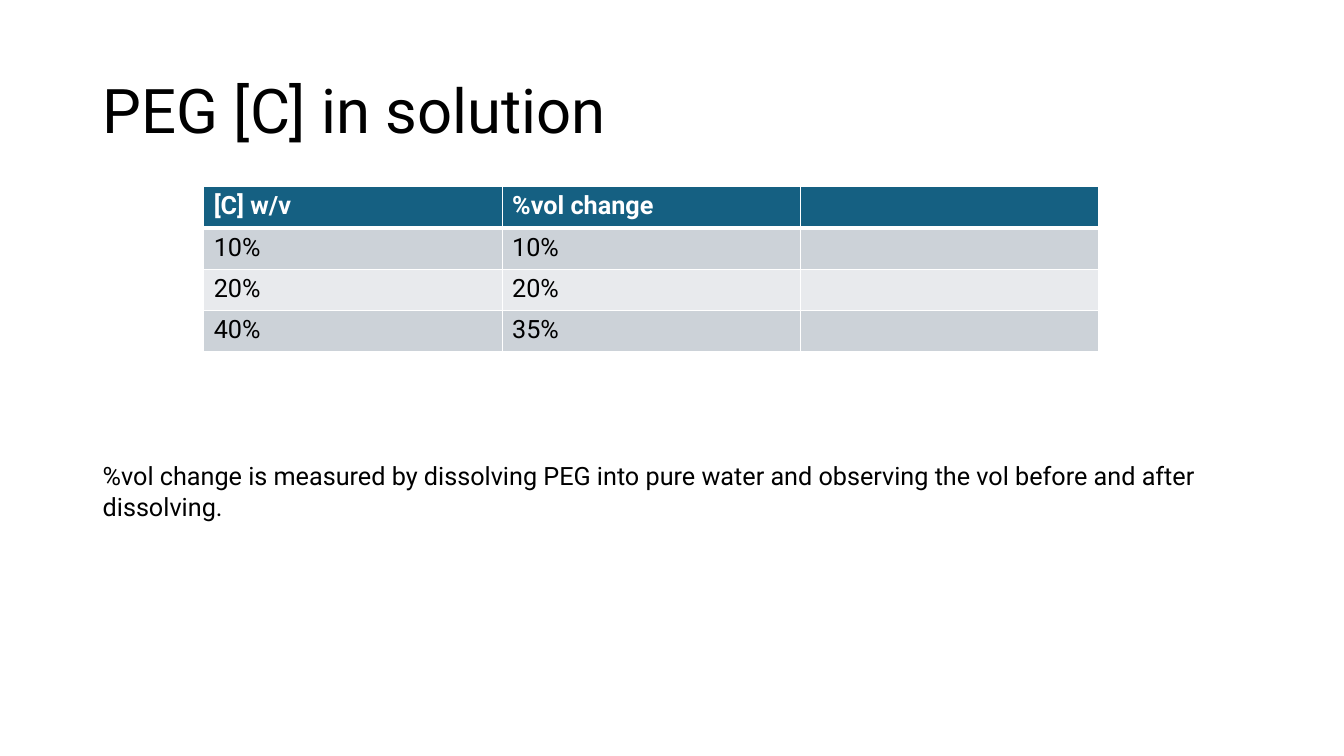
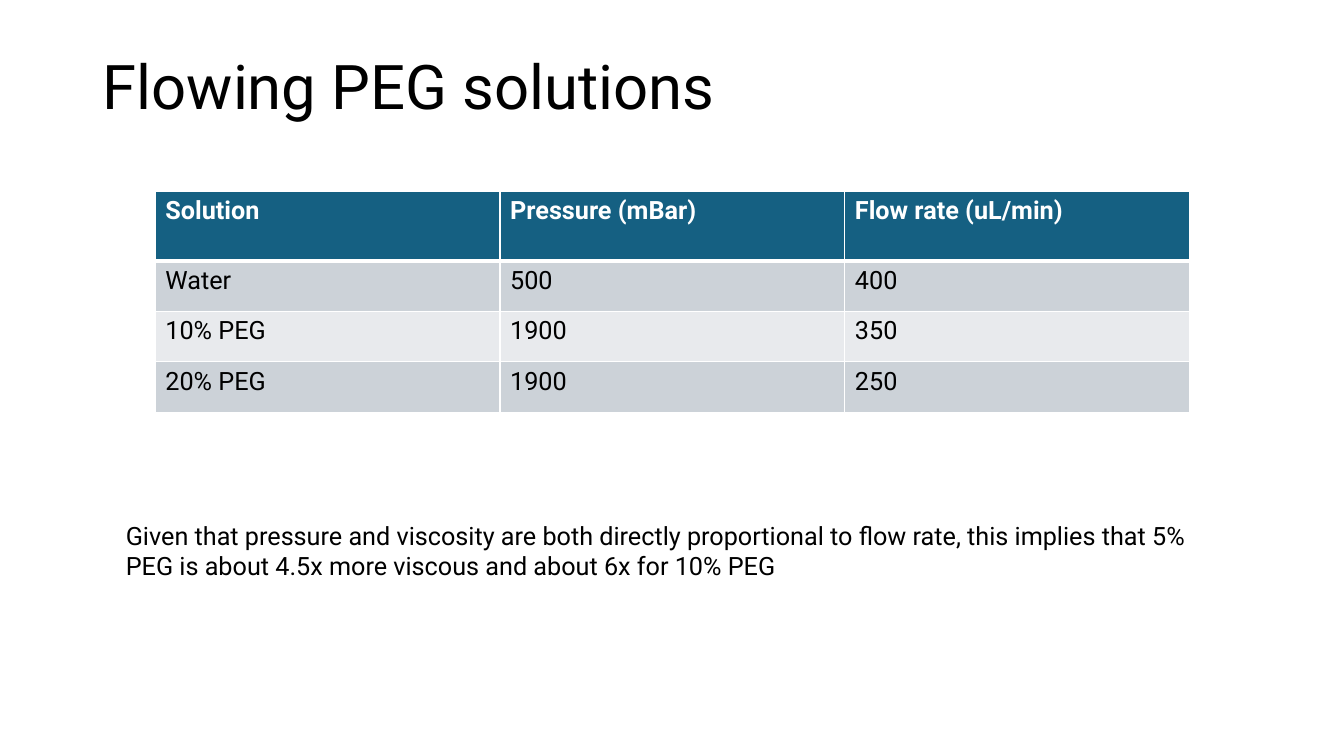
from lxml import etree
from pptx import Presentation
from pptx.dml.color import RGBColor
from pptx.enum import text
from pptx.oxml import ns
from pptx.util import Inches, Pt

FONT = "Roboto"
COLORS = {"ink": "000000", "white": "FFFFFF", "header": "156082",
          "band_dark": "CCD2D8", "band_light": "E8EAED"}
TITLE_LEFT, TITLE_TOP, TITLE_WIDTH = 0.92, 0.4, 11.5

# Boxes are left, top, width, height in inches.
SLIDES = [
    {
        "title": "PEG [C] in solution",
        "title_height": 1.45,
        "rows": [("[C] w/v", "%vol change", ""),
                 ("10%", "10%", ""),
                 ("20%", "20%", ""),
                 ("40%", "35%", "")],
        "table_at": (2.02, 1.85),
        "column_width": 2.96,
        "header_height": 0.41,
        "row_height": 0.41,
        "note": "%vol change is measured by dissolving PEG into pure water and "
                "observing the vol before and after dissolving.",
        "note_box": (0.92, 4.52, 11.98, 0.71),
    },
    {
        "title": "Flowing PEG solutions",
        "title_height": 0.97,
        "rows": [("Solution", "Pressure (mBar)", "Flow rate (uL/min)"),
                 ("Water", "500", "400"),
                 ("10% PEG", "1900", "350"),
                 ("20% PEG", "1900", "250")],
        "table_at": (1.54, 1.9),
        "column_width": 3.42,
        "header_height": 0.69,
        "row_height": 0.5,
        "note": "Given that pressure and viscosity are both directly proportional "
                "to flow rate, this implies that 5% PEG is about 4.5x more viscous "
                "and about 6x for 10% PEG",
        "note_box": (1.15, 5.11, 11.17, 0.71),
    },
]


def rgb(name):
    return RGBColor.from_string(COLORS[name])


def style(paragraph, size, color="ink", bold=False):
    font = paragraph.font
    font.name, font.size, font.bold = FONT, Pt(size), bold
    font.color.rgb = rgb(color)


def add_text(slide, words, box, size):
    frame = slide.shapes.add_textbox(*map(Inches, box)).text_frame
    frame.word_wrap = True
    frame.text = words
    style(frame.paragraphs[0], size)
    return frame


def add_title(slide, words, height):
    box = (TITLE_LEFT, TITLE_TOP, TITLE_WIDTH, height)
    frame = add_text(slide, words, box, 44)
    frame.vertical_anchor = text.MSO_ANCHOR.MIDDLE
    frame.paragraphs[0].line_spacing = 0.9


def set_borders(cell, top, bottom):
    """White rules round a cell; top and bottom are widths in points."""
    properties = cell._tc.get_or_add_tcPr()
    for side, width in (("L", 1), ("R", 1), ("T", top), ("B", bottom)):
        line = etree.SubElement(properties, ns.qn("a:ln" + side), w=str(Pt(width)))
        fill = etree.SubElement(line, ns.qn("a:solidFill"))
        etree.SubElement(fill, ns.qn("a:srgbClr"), val=COLORS["white"])


def add_data_table(slide, content):
    rows = content["rows"]
    heights = [content["header_height"]] + [content["row_height"]] * (len(rows) - 1)
    left, top = content["table_at"]
    width = content["column_width"] * len(rows[0])
    table = slide.shapes.add_table(
        len(rows), len(rows[0]), Inches(left), Inches(top),
        Inches(width), Inches(sum(heights))).table
    for column in table.columns:
        column.width = Inches(content["column_width"])
    for r, (values, height) in enumerate(zip(rows, heights)):
        table.rows[r].height = Inches(height)
        is_header = r == 0
        band = "header" if is_header else "band_dark" if r % 2 else "band_light"
        for c, value in enumerate(values):
            cell = table.cell(r, c)
            set_borders(cell, top=3 if r == 1 else 1, bottom=3 if is_header else 1)
            cell.fill.solid()
            cell.fill.fore_color.rgb = rgb(band)
            cell.text_frame.text = value
            style(cell.text_frame.paragraphs[0], 18,
                  "white" if is_header else "ink", bold=is_header)


def main():
    deck = Presentation()
    deck.slide_width, deck.slide_height = Inches(13.33), Inches(7.5)
    for content in SLIDES:
        slide = deck.slides.add_slide(deck.slide_layouts[6])
        add_title(slide, content["title"], content["title_height"])
        add_data_table(slide, content)
        add_text(slide, content["note"], content["note_box"], 18)
    deck.save("out.pptx")


if __name__ == "__main__":
    main()
